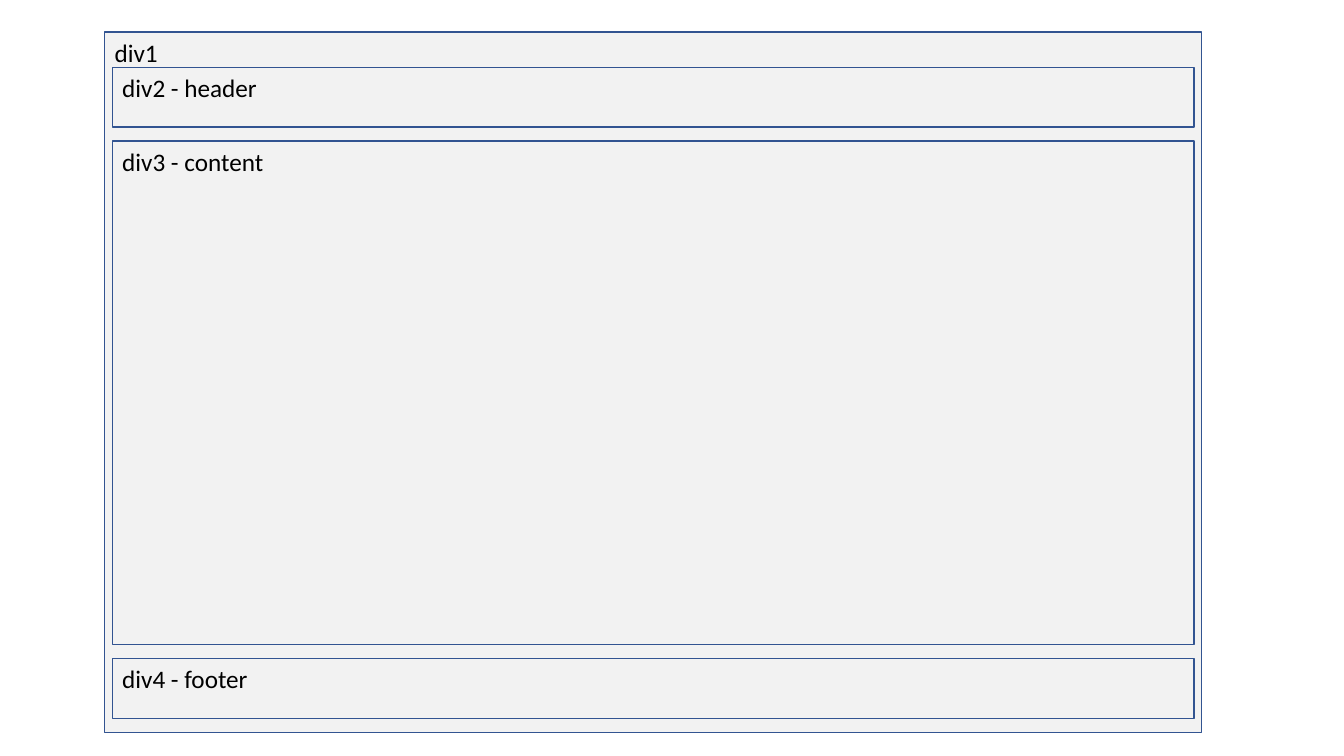
from pptx import Presentation
from pptx.dml.color import RGBColor
from pptx.enum.shapes import MSO_SHAPE
from pptx.enum.text import MSO_ANCHOR, PP_ALIGN
from pptx.util import Cm, Pt

PAGE = ("div1", 2.64, 0.81, 27.64, 17.65)
SECTIONS = [
    ("div2 - header", 1.5),
    ("div3 - content", 12.7),
    ("div4 - footer", 1.5),
]
SIDE_INSET = 0.19
TOP_INSET = 0.89
SECTION_GAP = 0.35

PALE_GREY = RGBColor(0xF2, 0xF2, 0xF2)
BLUE = RGBColor(0x32, 0x54, 0x91)
BLACK = RGBColor(0x00, 0x00, 0x00)

prs = Presentation()
prs.slide_width = Cm(33.87)
prs.slide_height = Cm(19.05)
slide = prs.slides.add_slide(prs.slide_layouts[6])


def add_div(label, left, top, width, height):
    div = slide.shapes.add_shape(
        MSO_SHAPE.RECTANGLE, Cm(left), Cm(top), Cm(width), Cm(height))
    div.shadow.inherit = False
    div.fill.solid()
    div.fill.fore_color.rgb = PALE_GREY
    div.line.color.rgb = BLUE
    div.line.width = Pt(1)
    div.text_frame.text = label
    div.text_frame.vertical_anchor = MSO_ANCHOR.TOP
    paragraph = div.text_frame.paragraphs[0]
    paragraph.alignment = PP_ALIGN.LEFT
    font = paragraph.runs[0].font
    font.name = "Calibri"
    font.size = Pt(18)
    font.color.rgb = BLACK


add_div(*PAGE)

page_label, page_left, page_top, page_width, page_height = PAGE
section_top = page_top + TOP_INSET
for label, height in SECTIONS:
    add_div(label, page_left + SIDE_INSET, section_top,
            page_width - 2 * SIDE_INSET, height)
    section_top += height + SECTION_GAP

prs.save("out.pptx")
